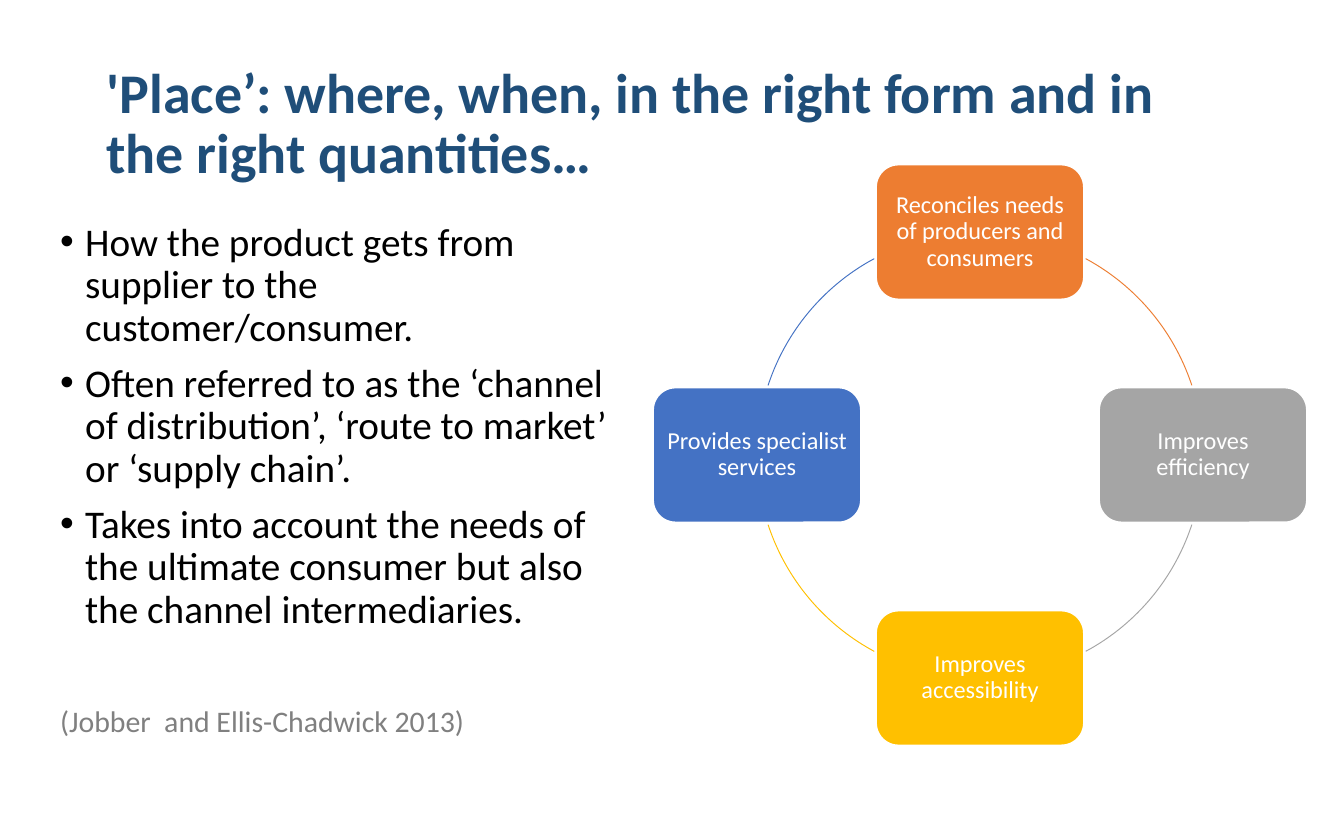
from dataclasses import dataclass

from lxml import etree
from pptx import Presentation
from pptx.dml.color import RGBColor
from pptx.enum.shapes import MSO_SHAPE
from pptx.enum.text import MSO_ANCHOR, MSO_AUTO_SIZE, PP_ALIGN
from pptx.oxml.ns import qn
from pptx.util import Pt

ROUNDED = MSO_SHAPE.ROUNDED_RECTANGLE
ARC = MSO_SHAPE.ARC
MIDDLE = MSO_ANCHOR.MIDDLE
TOP = MSO_ANCHOR.TOP
LEFT = PP_ALIGN.LEFT
CENTER = PP_ALIGN.CENTER
NO_AUTOFIT = MSO_AUTO_SIZE.NONE

TITLE = "'Place’: where, when, in the right form and in the right quantities…"
POINTS = [
    "How the product gets from supplier to the customer/consumer.",
    "Often referred to as the ‘channel of distribution’, ‘route to market’ or ‘supply chain’.",
    "Takes into account the needs of the ultimate consumer but also the channel intermediaries.",
]
CITATION = "(Jobber  and Ellis-Chadwick 2013)"
CYCLE = [
    ("Reconciles needs of producers and consumers", "ED7D31", (0, -1), (298.3, 341.8)),
    ("Improves efficiency", "A5A5A5", (1, 0), (18.2, 61.7)),
    ("Improves accessibility", "FFC000", (0, 1), (118.3, 161.8)),
    ("Provides specialist services", "4472C4", (-1, 0), (198.2, 241.7)),
]


@dataclass(frozen=True)
class Theme:
    font: str = "Calibri"
    title_color: str = "1F4E79"
    body_color: str = "000000"
    citation_color: str = "808080"
    white: str = "FFFFFF"
    title_size: int = 30
    body_size: int = 21
    citation_size: int = 16
    box_size: int = 13
    line_spacing: float = 0.9


THEME = Theme()
EMU_PER_PX = 914400 / 134.4
SLIDE_SIZE = (1344, 840)
TITLE_AREA = (93, 44, 1158, 163)
BODY_AREA = (47, 216, 579, 505)
CITATION_AREA = (47, 696, 437, 50)
CYCLE_CENTER = (980, 455)
RADIUS = 223
BOX_SIZE = (208, 135)
BOX_MARGIN = 7
BULLET_INDENT = 25
ARC_UNITS_PER_DEGREE = 0.6


def px(value):
    return round(value * EMU_PER_PX)


def area(values):
    return [px(value) for value in values]


def centered_area(center_x, center_y, width, height):
    return area((center_x - width / 2, center_y - height / 2, width, height))


def format_paragraph(paragraph, size, color, alignment=LEFT, bold=False, spacing=THEME.line_spacing):
    paragraph.alignment = alignment
    paragraph.line_spacing = spacing
    for run in paragraph.runs:
        run.font.name = THEME.font
        run.font.size = Pt(size)
        run.font.bold = bold
        run.font.color.rgb = RGBColor.from_string(color)


def add_bullet(paragraph):
    properties = paragraph._p.get_or_add_pPr()
    properties.set("marL", str(px(BULLET_INDENT)))
    properties.set("indent", str(-px(BULLET_INDENT)))
    etree.SubElement(properties, qn("a:buFont")).set("typeface", "Arial")
    etree.SubElement(properties, qn("a:buChar")).set("char", "•")


def add_title(slide):
    title = slide.shapes.title
    title.left, title.top, title.width, title.height = area(TITLE_AREA)
    frame = title.text_frame
    frame.text = TITLE
    frame.word_wrap = True
    frame.auto_size = NO_AUTOFIT
    frame.vertical_anchor = MIDDLE
    format_paragraph(frame.paragraphs[0], THEME.title_size, THEME.title_color, bold=True)


def add_points(slide):
    frame = slide.shapes.add_textbox(*area(BODY_AREA)).text_frame
    frame.word_wrap = True
    frame.vertical_anchor = TOP
    frame.text = "\n".join(POINTS)
    for index, paragraph in enumerate(frame.paragraphs):
        add_bullet(paragraph)
        paragraph.space_before = Pt(7.5 if index else 0)
        format_paragraph(paragraph, THEME.body_size, THEME.body_color)


def add_citation(slide):
    frame = slide.shapes.add_textbox(*area(CITATION_AREA)).text_frame
    frame.word_wrap = False
    frame.text = CITATION
    format_paragraph(frame.paragraphs[0], THEME.citation_size, THEME.citation_color, spacing=1.0)


def add_box(slide, label, color, direction):
    center = [middle + RADIUS * step for middle, step in zip(CYCLE_CENTER, direction)]
    box = slide.shapes.add_shape(ROUNDED, *centered_area(*center, *BOX_SIZE))
    box.shadow.inherit = False
    box.fill.solid()
    box.fill.fore_color.rgb = RGBColor.from_string(color)
    box.line.color.rgb = RGBColor.from_string(THEME.white)
    box.line.width = Pt(1)
    frame = box.text_frame
    frame.word_wrap = True
    frame.vertical_anchor = MIDDLE
    frame.margin_left = frame.margin_right = px(BOX_MARGIN)
    frame.margin_top = frame.margin_bottom = px(BOX_MARGIN)
    frame.text = label
    format_paragraph(frame.paragraphs[0], THEME.box_size, THEME.white, CENTER)


def add_arc(slide, color, angles):
    arc = slide.shapes.add_shape(ARC, *centered_area(*CYCLE_CENTER, 2 * RADIUS, 2 * RADIUS))
    arc.shadow.inherit = False
    arc.fill.background()
    arc.line.color.rgb = RGBColor.from_string(color)
    arc.line.width = Pt(0.5)
    for index, angle in enumerate(angles):
        arc.adjustments[index] = angle * ARC_UNITS_PER_DEGREE * 100 / 100


def main():
    presentation = Presentation()
    presentation.slide_width, presentation.slide_height = area(SLIDE_SIZE)
    slide = presentation.slides.add_slide(presentation.slide_layouts[5])
    add_title(slide)
    add_points(slide)
    for label, color, direction, angles in CYCLE:
        add_box(slide, label, color, direction)
        add_arc(slide, color, angles)
    add_citation(slide)
    presentation.save("out.pptx")


if __name__ == "__main__":
    main()
